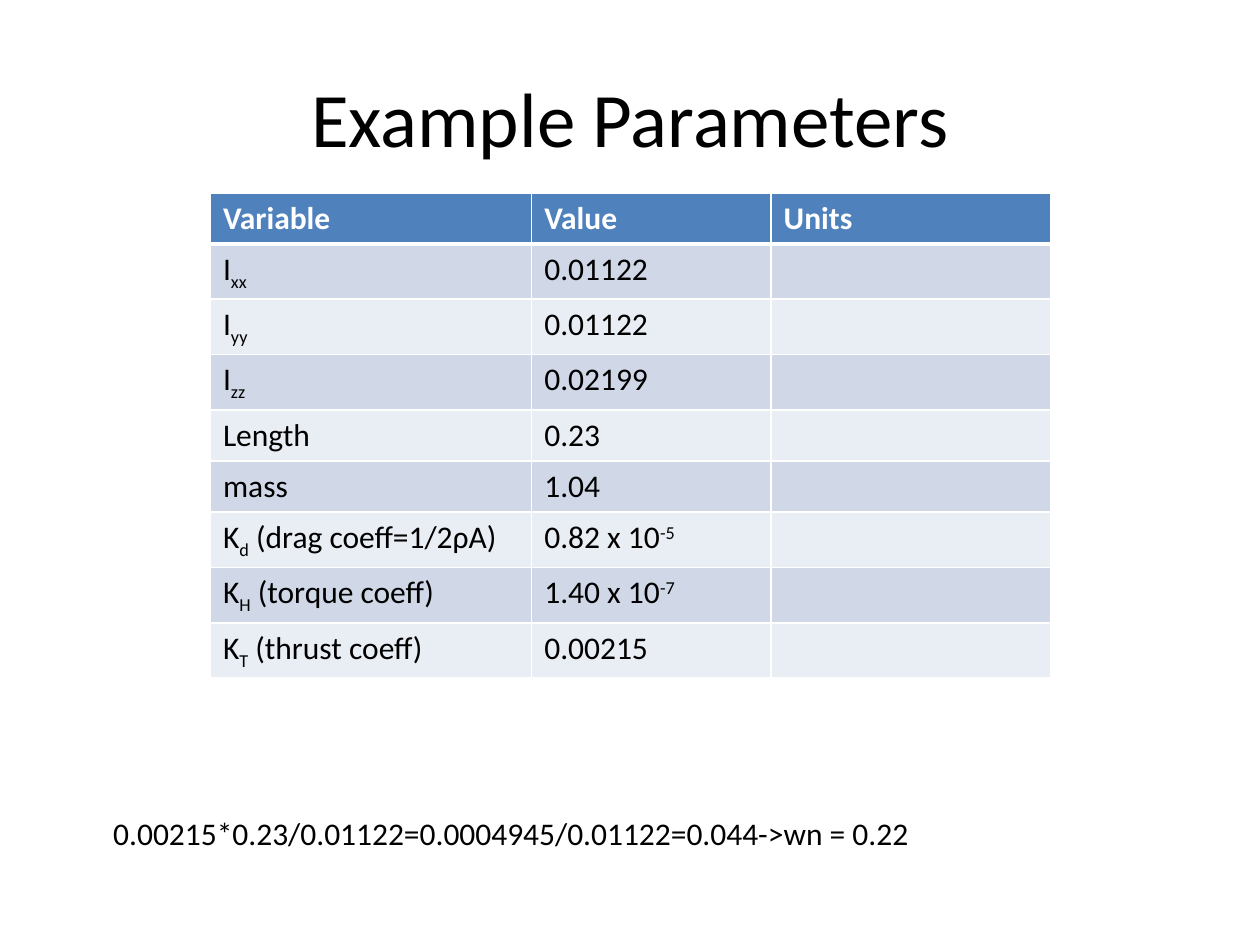
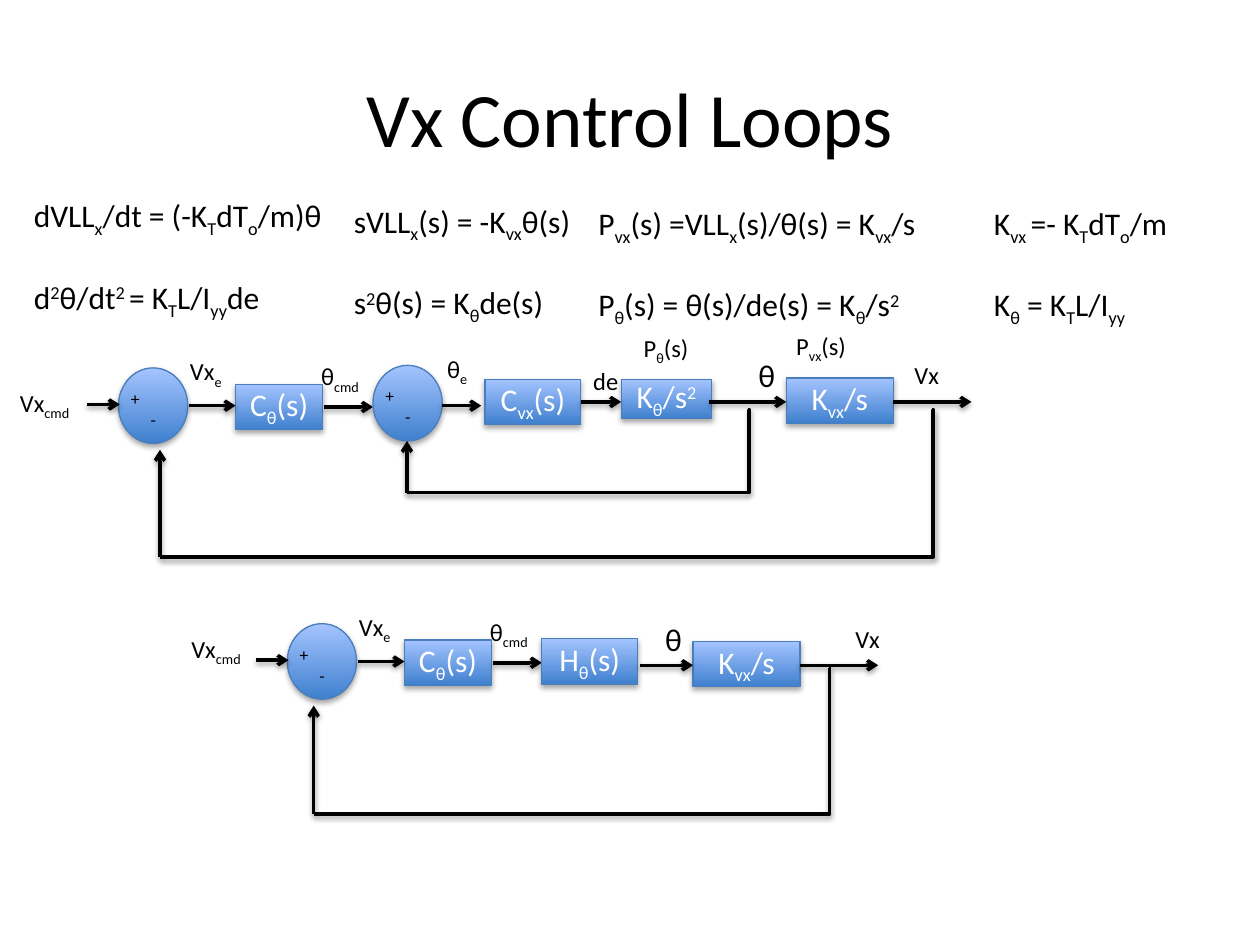
from lxml.etree import SubElement as Sub
from pptx import Presentation
from pptx.dml.color import RGBColor
from pptx.enum.shapes import MSO_CONNECTOR as Link, MSO_SHAPE as Form
from pptx.enum.text import MSO_ANCHOR as Anchor, MSO_AUTO_SIZE as Fit, PP_ALIGN as Align
from pptx.oxml.ns import qn
from pptx.util import Inches, Pt

HUES = {
    "ink": "000000", "paper": "FFFFFF", "head": "4F81BD",
    "odd": "D0D8E8", "even": "E9EDF4",
    "low": "3F80CE", "high": "A4C4FF", "edge": "4B7EBC",
}
FONT = "Calibri"
COLS, ROWS = 100, 75
SHIFTS = {"_": "-25000", "^": "30000"}


def hue(name):
    return RGBColor.from_string(HUES[name])


def node(top, tag, **keys):
    return Sub(top, qn(tag), {k: str(v) for k, v in keys.items()})


class Deck:
    def __init__(self):
        self.file = Presentation()
        self.file.slide_width, self.file.slide_height = Inches(10), Inches(7.5)
        self.page = None

    def grid(self, *nums):
        units = self.file.slide_width / COLS, self.file.slide_height / ROWS
        return [round(n * units[i % 2]) for i, n in enumerate(nums)]

    def runs(self, para, text, size=18, tone="ink", bold=False):
        for part in text.split("|"):
            run = para.add_run()
            shift = SHIFTS.get(part[0])
            run.text = part[1:] if shift else part
            font = run.font
            font.name, font.size, font.bold = FONT, Pt(size), bold
            font.color.rgb = hue(tone)
            if shift:
                font._element.set("baseline", shift)

    def start(self, text):
        self.page = self.file.slides.add_slide(self.file.slide_layouts[5])
        box = self.page.shapes.title
        box.left, box.top, box.width, box.height = self.grid(5, 3, 90, 12.5)
        frame = box.text_frame
        frame.vertical_anchor = Anchor.MIDDLE
        frame.paragraphs[0].alignment = Align.CENTER
        self.runs(frame.paragraphs[0], text, 44)

    def text(self, at, *lines, size=14, gap=0, dent=0):
        frame = self.page.shapes.add_textbox(*self.grid(*at)).text_frame
        frame.word_wrap = False
        frame.auto_size = Fit.SHAPE_TO_FIT_TEXT
        for i, line in enumerate(lines):
            para = frame.add_paragraph() if i else frame.paragraphs[0]
            if i and gap:
                para.space_before = Pt(gap)
            if i and dent:
                para._p.get_or_add_pPr().set("marL", str(Pt(dent)))
            self.runs(para, line, size)

    def shade(self, group, dist, alpha):
        cast = node(group, "a:outerShdw", blurRad=40000, dist=dist, dir=5400000, rotWithShape=0)
        node(node(cast, "a:srgbClr", val=HUES["ink"]), "a:alpha", val=alpha)

    def shape(self, at, text="", form=Form.RECTANGLE):
        item = self.page.shapes.add_shape(form, *self.grid(*at))
        item.fill.gradient()
        item.fill.gradient_angle = 90
        for stop, name in zip(item.fill.gradient_stops, ("low", "high")):
            stop.color.rgb = hue(name)
        item.line.color.rgb, item.line.width = hue("edge"), Pt(0.75)
        item.shadow.inherit = False
        self.shade(item._element.spPr.find(qn("a:effectLst")), 23000, 35000)
        if text:
            frame = item.text_frame
            frame.word_wrap = True
            frame.margin_left = frame.margin_right = 0
            frame.vertical_anchor = Anchor.MIDDLE
            frame.paragraphs[0].alignment = Align.CENTER
            self.runs(frame.paragraphs[0], text, tone="paper")

    def line(self, ends, kind=Link.STRAIGHT, tip=True):
        item = self.page.shapes.add_connector(kind, *self.grid(*ends))
        item.line.color.rgb, item.line.width = hue("ink"), Pt(2)
        props = item._element.spPr
        if tip:
            node(props.find(qn("a:ln")), "a:tailEnd", type="arrow")
        self.shade(node(props, "a:effectLst"), 20000, 38000)
        return props

    def flow(self, left, right, row):
        self.line((left, row, right, row))

    def back(self, left, right, top, base, tip):
        props = self.line((left, base, right, top), Link.ELBOW, False)
        props.find(qn("a:xfrm")).set("rot", "10800000")
        marks = props.find(qn("a:prstGeom")).find(qn("a:avLst"))
        node(marks, "a:gd", name="adj1", fmla="val -100")
        self.line((left, base, left, tip))

    def sum(self, x, y):
        self.shape((x, y, 5.5, 6), form=Form.OVAL)
        self.text((x, y + 1.1, 4, 4.4), "+", "-", size=10, dent=11.3)

    def table(self, at, wide, data):
        item = self.page.shapes.add_table(len(data), len(wide), *self.grid(*at)).table
        for col, size in zip(item.columns, wide):
            col.width = self.grid(size)[0]
        for r, row in enumerate(data):
            tone = "head" if r == 0 else "odd" if r % 2 else "even"
            for c, text in enumerate(row):
                cell = item.cell(r, c)
                props = cell._tc.get_or_add_tcPr()
                for side in "LRTB":
                    thick = (r, side) in ((0, "B"), (1, "T"))
                    edge = node(props, "a:ln" + side, w=Pt(3 if thick else 1))
                    node(node(edge, "a:solidFill"), "a:srgbClr", val=HUES["paper"])
                cell.fill.solid()
                cell.fill.fore_color.rgb = hue(tone)
                if text:
                    self.runs(cell.text_frame.paragraphs[0], text,
                              tone="ink" if r else "paper", bold=r == 0)

    def entry(self, x, y):
        self.shape((x + 9.3, y + 1.3, 6.9, 3.6), "C|_θ|(s)")
        self.sum(x, y)
        self.flow(x - 2.5, x + 0.1, y + 2.9)
        self.flow(x + 5.6, x + 9.3, y + 3)
        self.flow(x + 16.3, x + 20.2, y + 3.1)
        self.text((x + 4.7, y - 1.4, 4.6, 3.4), "Vx|_e")
        self.text((x + 15.1, y - 1, 5.4, 3.4), "θ|_cmd")

    def plant(self, x, y, start, mark):
        self.shape((x, y, 8.5, 3.6), "K|_vx|/s")
        self.flow(start, x, y + 1.9)
        self.flow(x + 8.5, x + 14.7, y + 1.9)
        self.text((x - 3.2, y - 2.2, 3.4, 4), "θ", size=18)
        self.text((mark, y - 1.9, 4, 3.4), "Vx")


def values(deck):
    deck.start("Example Parameters")
    deck.table((16.7, 15.3, 66.7, 36.5), (25.5, 19, 22.2), [
        ("Variable", "Value", "Units"),
        ("I|_xx", "0.01122", ""),
        ("I|_yy", "0.01122", ""),
        ("I|_zz", "0.02199", ""),
        ("Length", "0.23", ""),
        ("mass", "1.04", ""),
        ("K|_d| (drag coeff=1/2ρA)", "0.82 x 10|^-5", ""),
        ("K|_H| (torque coeff)", "1.40 x 10|^-7", ""),
        ("K|_T| (thrust coeff)", "0.00215", ""),
    ])
    deck.text((8, 64.1, 65.8, 4), "0.00215*0.23/0.01122=0.0004945/0.01122=0.044->wn = 0.22", size=18)


def loops(deck):
    deck.start("Vx Control Loops")
    for x, y, wide, *lines in (
        (1.7, 15.1, 25.4, "dVLL|_x|/dt = (-K|_T|dT|_o|/m)θ", "d|^2|θ/dt|^2 |= K|_T|L/I|_yy|de"),
        (27.1, 15.5, 19.6, "sVLL|_x|(s) = -K|_vx|θ(s)", "s|^2|θ(s) = K|_θ|de(s)"),
        (77.9, 15.7, 16.4, "K|_vx |=- K|_T|dT|_o|/m", "K|_θ| = K|_T|L/I|_yy"),
        (46.5, 15.7, 28.7, "P|_vx|(s) =VLL|_x|(s)/θ(s) = K|_vx|/s",
         "P|_θ|(s) = θ(s)/de(s) = K|_θ|/s|^2"),
    ):
        deck.text((x, y, wide, 10.1), *lines, size=18, gap=22)

    deck.entry(9.4, 29.2)
    deck.sum(29.6, 29)
    deck.shape((38.5, 30.1, 7.6, 3.6), "C|_vx|(s)")
    deck.shape((49.3, 30.1, 7.2, 3.1), "K|_θ|/s|^2")
    deck.flow(35.1, 38.2, 32.2)
    deck.flow(46.1, 49.3, 31.9)
    deck.plant(62.4, 30, 56.3, 71.6)
    deck.back(32.3, 59.4, 32.5, 39.1, 35)
    deck.back(12.7, 74, 32.5, 44.2, 35.7)

    deck.entry(22.8, 49.5)
    deck.shape((43, 50.7, 7.6, 3.6), "H|_θ|(s)")
    deck.plant(55, 50.9, 50.8, 66.9)
    deck.back(24.9, 65.8, 53, 64.6, 56)

    for x, y, wide, name in (
        (0.6, 30.3, 6.3, "Vx|_cmd"), (14.2, 49.8, 6.3, "Vx|_cmd"),
        (34.5, 27.6, 3.7, "θ|_e"), (46.1, 28.6, 4, "de"),
        (50.1, 25.9, 5.7, "P|_θ|(s)"), (62.2, 25.8, 6.2, "P|_vx|(s)"),
    ):
        deck.text((x, y, wide, 3.4), name)


def main():
    deck = Deck()
    values(deck)
    loops(deck)
    deck.file.save("out.pptx")


if __name__ == "__main__":
    main()
